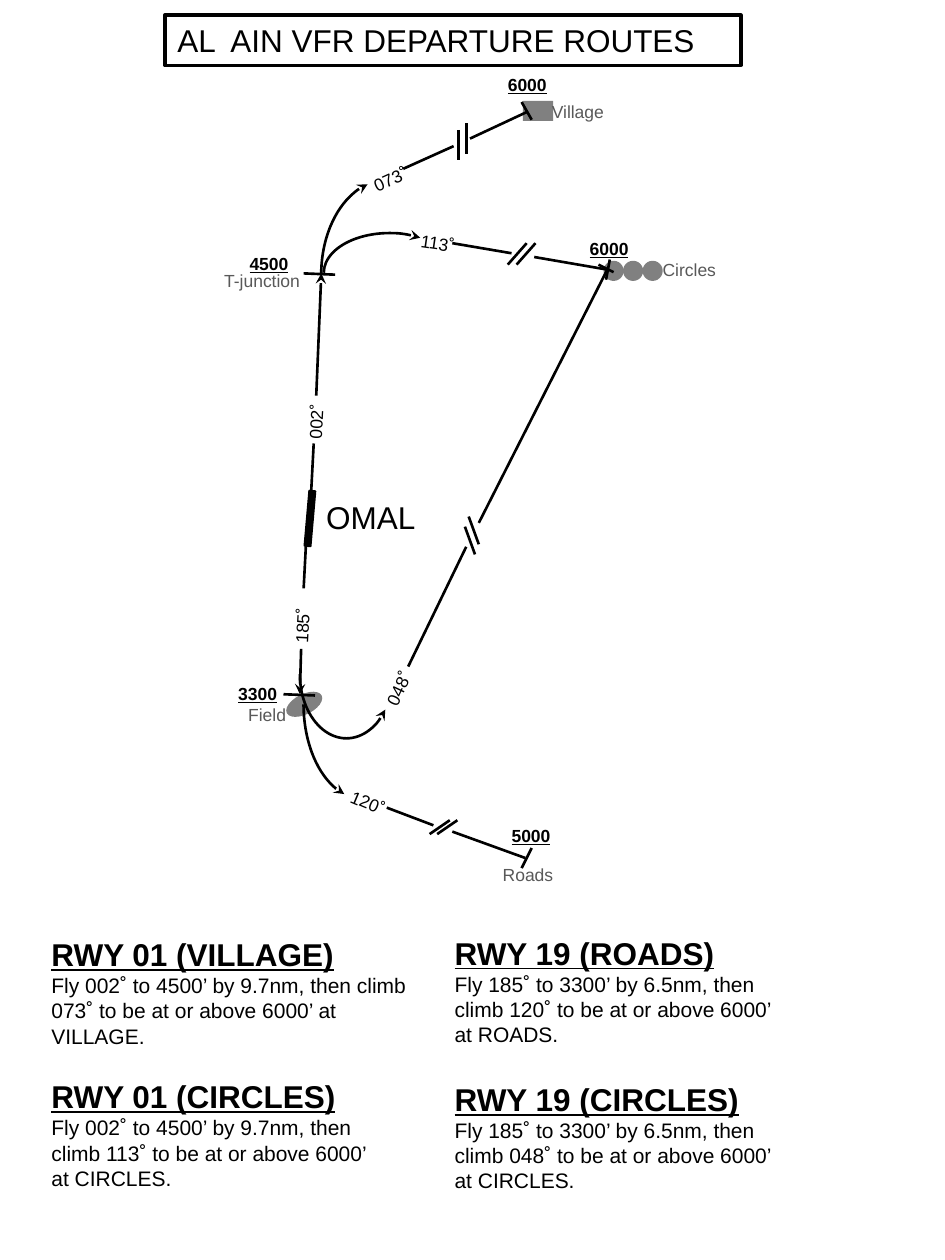
from dataclasses import dataclass

from lxml import etree
from pptx import Presentation
from pptx.dml.color import RGBColor
from pptx.enum import shapes, text
from pptx.oxml import ns
from pptx.util import Inches, Pt


@dataclass(frozen=True)
class Theme:
    font: str = "Arial"
    black: RGBColor = RGBColor(0, 0, 0)
    landmark: RGBColor = RGBColor(0x80, 0x80, 0x80)
    name: RGBColor = RGBColor(0x59, 0x59, 0x59)
    heading_size: int = 18
    body_size: int = 12
    label_size: int = 10
    route_width: float = 1.5


theme = Theme()
presentation = Presentation()
presentation.slide_width = Inches(7.5)
presentation.slide_height = Inches(10)
slide = presentation.slides.add_slide(presentation.slide_layouts[6])


def add_text(box, paragraphs, inset_x=0.1, inset_y=0.05, rotation=0):
    """Add a text box; each paragraph is (wording, size, colour, emphasised)."""
    shape = slide.shapes.add_textbox(*map(Inches, box))
    shape.rotation = rotation
    frame = shape.text_frame
    frame.text = "\n".join(wording for wording, *_ in paragraphs)
    frame.word_wrap = True
    frame.auto_size = text.MSO_AUTO_SIZE.SHAPE_TO_FIT_TEXT
    frame.margin_left = frame.margin_right = Inches(inset_x)
    frame.margin_top = frame.margin_bottom = Inches(inset_y)
    for paragraph, (_, size, colour, emphasised) in zip(frame.paragraphs, paragraphs):
        font = paragraph.runs[0].font
        font.name, font.size = theme.font, Pt(size)
        font.color.rgb = colour
        font.bold = font.underline = emphasised
    return shape


def draw_stroke(shape, arrow=None):
    """Give a route line or arc its black stroke, with a stealth arrow if asked."""
    shape.line.color.rgb = theme.black
    shape.line.width = Pt(theme.route_width)
    properties = shape.element.spPr
    if arrow:
        end = etree.SubElement(properties.find(ns.qn("a:ln")), ns.qn(f"a:{arrow}"))
        end.set("type", "stealth")
    if properties.find(ns.qn("a:effectLst")) is None:
        etree.SubElement(properties, ns.qn("a:effectLst"))


# Landmarks and the runway
oval, rectangle = shapes.MSO_SHAPE.OVAL, shapes.MSO_SHAPE.RECTANGLE
landmarks = [(oval, (4.79 + 0.155 * i, 2.07, 0.16, 0.16), 0, theme.landmark) for i in range(3)]
landmarks += [
    (oval, (2.26, 5.51, 0.31, 0.16), 333.3, theme.landmark),
    (rectangle, (4.15, 0.8, 0.24, 0.16), 0, theme.landmark),
    (rectangle, (2.24, 4.09, 0.44, 0.05), 95, theme.black),
]
for kind, box, rotation, colour in landmarks:
    shape = slide.shapes.add_shape(kind, *map(Inches, box))
    shape.shadow.inherit = False
    shape.rotation = rotation
    shape.fill.solid()
    shape.fill.fore_color.rgb = colour
    if colour == theme.black:
        shape.line.color.rgb = colour
        shape.line.width = Pt(1)
    else:
        shape.line.fill.background()

# Title and airfield
title = add_text((1.31, 0.12, 4.57, 0.4),
                 [("AL  AIN VFR DEPARTURE ROUTES", theme.heading_size, theme.black, False)])
title.line.color.rgb = theme.black
title.line.width = Pt(2)
add_text((2.49, 3.9, 1.42, 0.4), [("OMAL", theme.heading_size, theme.black, False)])

# Route legs, with an arrow where a leg reaches its turning point
legs = [
    (2.51, 3.14, 2.55, 2.17, "tailEnd"),
    (2.49, 3.52, 2.47, 3.9, None),
    (2.43, 4.29, 2.41, 4.67, None),
    (2.39, 5.15, 2.38, 5.51, "tailEnd"),
    (3.6, 1.16, 3.2, 1.34, None),
    (4.18, 0.89, 3.73, 1.1, None),
    (4.06, 2.01, 3.59, 1.93, None),
    (4.82, 2.14, 4.24, 2.04, None),
    (3.7, 4.34, 3.24, 5.29, None),
    (4.82, 2.14, 3.8, 4.15, None),
    (3.44, 6.55, 3.07, 6.41, None),
    (4.17, 6.81, 3.59, 6.6, None),
]

# Ticks across the routes at the reporting points
ticks = [
    (2.41, 2.17, 2.66, 2.18),
    (4.14, 0.81, 4.22, 0.95),
    (4.84, 2.06, 4.81, 2.22),
    (4.75, 2.1, 4.87, 2.16),
    (2.25, 5.51, 2.5, 5.52),
    (4.22, 6.73, 4.14, 6.89),
]

# Break marks: a stroke and its parallel, shifted by (dx, dy)
breaks = [
    (3.64, 1.03, 3.64, 1.27, 0.06, -0.05),
    (4.18, 1.93, 4.03, 2.1, 0.07, 0),
    (3.77, 4.4, 3.69, 4.18, 0.03, -0.08),
    (3.41, 6.62, 3.57, 6.51, 0.06, 0),
]
lines = legs + [(*tick, None) for tick in ticks]
for x1, y1, x2, y2, dx, dy in breaks:
    lines += [(x1, y1, x2, y2, None), (x1 + dx, y1 + dy, x2 + dx, y2 + dy, None)]
for *ends, arrow in lines:
    draw_stroke(slide.shapes.add_connector(shapes.MSO_CONNECTOR.STRAIGHT, *map(Inches, ends)), arrow)

# Turns: box, start angle in degrees, whether the turn bends downwards
turns = [
    ((2.55, 1.43, 1.04, 1.5), 281.97, False),
    ((2.57, 1.85, 1.04, 0.63), 228.47, False),
    ((2.38, 4.84, 0.74, 1.02), 222.44, True),
    ((2.41, 4.84, 0.94, 1.5), 281.66, True),
]
for box, start, downwards in turns:
    arc = slide.shapes.add_shape(shapes.MSO_SHAPE.ARC, *map(Inches, box))
    arc.shadow.inherit = False
    arc.fill.background()
    arc.adjustments[0] = start * 0.6  # 60000 units a degree, in steps of 100000
    arc.adjustments[1] = 0
    transform = arc.element.spPr.find(ns.qn("a:xfrm"))
    transform.set("flipH", "1")
    if downwards:
        transform.set("flipV", "1")
    draw_stroke(arc, "headEnd")

# Headings along the legs
for wording, left, top, rotation in [
    ("002˚", 2.32, 3.2, 272.9),
    ("185˚", 2.21, 4.82, 272.9),
    ("073˚", 2.92, 1.28, 335.6),
    ("113˚", 3.3, 1.8, 8.3),
    ("048˚", 2.98, 5.32, 295.3),
    ("120˚", 2.74, 6.24, 22.8),
]:
    add_text((left, top, 0.38, 0.27), [(wording, theme.label_size, theme.black, False)],
             inset_x=0.04, rotation=rotation)

# Names of the reporting points
for wording, left, top, width in [
    ("T-junction", 1.78, 2.09, 0.63),
    ("Village", 4.38, 0.75, 0.63),
    ("Circles", 5.26, 2.01, 0.63),
    ("Field", 1.97, 5.54, 0.31),
    ("Roads", 3.99, 6.81, 0.63),
]:
    add_text((left, top, width, 0.27), [(wording, theme.label_size, theme.name, False)], inset_x=0)

# Altitudes
for wording, left, top in [
    ("4500", 1.94, 2.01),
    ("6000", 3.99, 0.59),
    ("6000", 4.64, 1.89),
    ("3300", 1.85, 5.42),
    ("5000", 4.02, 6.55),
]:
    add_text((left, top, 0.39, 0.17), [(wording, theme.label_size, theme.black, True)],
             inset_x=0.04, inset_y=0)

# Written departure instructions
for runway, point, left, top, width, first, altitude, distance, second in [
    ("01", "VILLAGE", 0.31, 7.37, 3.04, "002", 4500, 9.7, "073"),
    ("01", "CIRCLES", 0.31, 8.5, 2.76, "002", 4500, 9.7, "113"),
    ("19", "ROADS", 3.51, 7.36, 2.76, "185", 3300, 6.5, "120"),
    ("19", "CIRCLES", 3.51, 8.52, 2.76, "185", 3300, 6.5, "048"),
]:
    instruction = (f"Fly {first}˚ to {altitude}’ by {distance}nm, then climb {second}˚ "
                   f"to be at or above 6000’ at {point}.")
    add_text((left, top, width, 1.62), [
        (f"RWY {runway} ({point})", theme.heading_size, theme.black, True),
        (instruction, theme.body_size, theme.black, False),
    ])

presentation.save("out.pptx")
